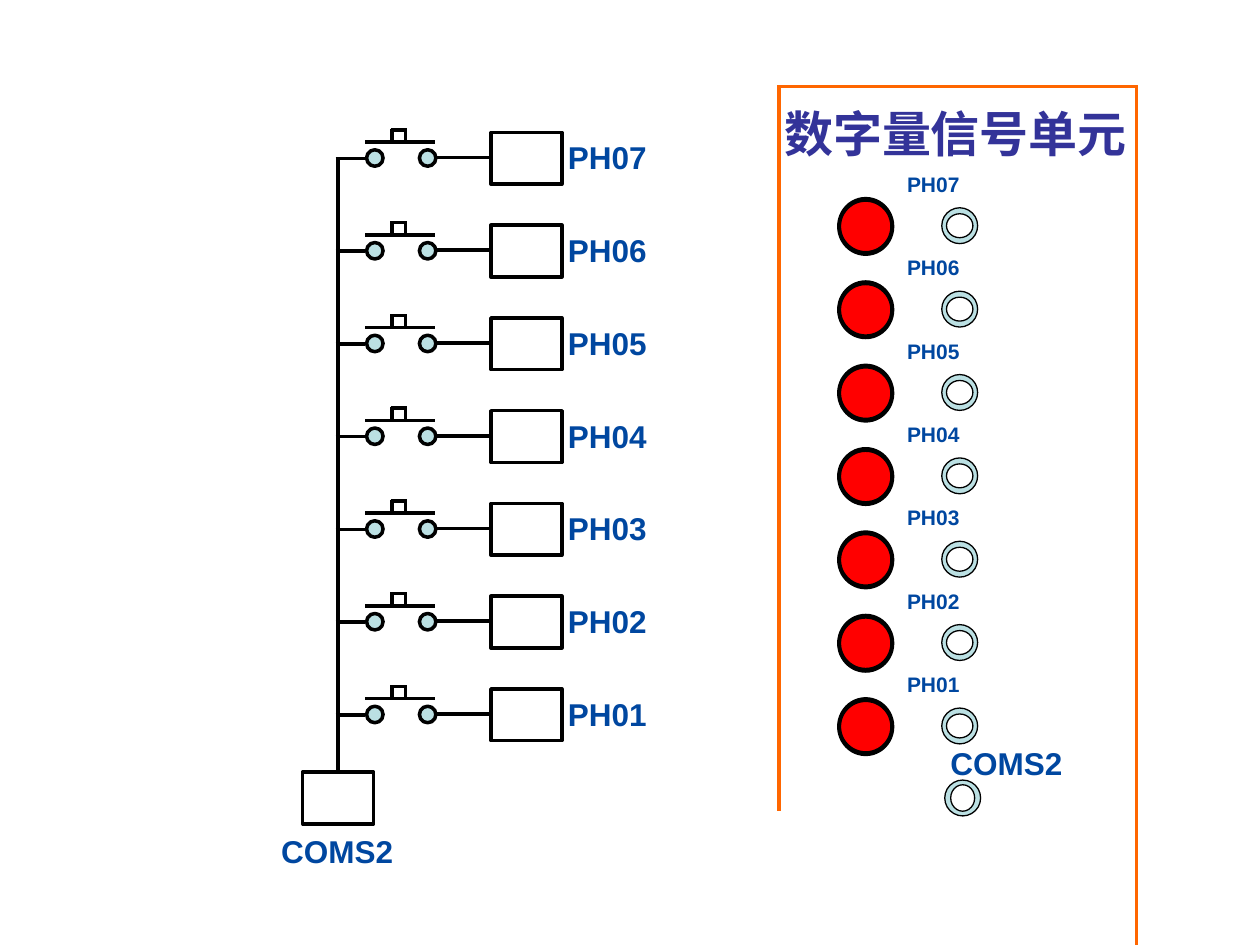
from dataclasses import dataclass

from pptx import Presentation
from pptx.dml.color import RGBColor
from pptx.enum import shapes, text
from pptx.oxml.ns import qn
from pptx.util import Pt

TITLE = "数字量信号单元"
CHANNELS = ["PH07", "PH06", "PH05", "PH04", "PH03", "PH02", "PH01"]
COMMON = "COMS2"


@dataclass(frozen=True)
class Theme:
    ink: str = "000000"
    terminal: str = "BBE0E3"
    hole: str = "FFFFFF"
    lamp: str = "FF0000"
    label: str = "0047A0"
    frame: str = "FF6600"
    title: str = "333399"
    font: str = "Arial"
    title_size: float = 28
    label_size: float = 18
    small_size: float = 12
    wire: float = 2
    hairline: float = 0.75


THEME = Theme()

# Wiring diagram on the left: y values are relative to the contact centre line
WIRING_TOP, WIRING_PITCH = 90.5, 53
BUS_X = 193.2
CONTACT_XS = (214.2, 244.4)
CONTACT_SIZE = 9.4
SWITCH_WIRES = [
    (191.8, 0, 208.8, 0),        # bus to contact
    (208.8, -9.3, 248.4, -9.3),  # bridge
    (224.1, -17, 224.1, -9.3),   # button, left side
    (223.2, -16.2, 232.6, -16.2),  # button, top
    (231.8, -17, 231.8, -9.3),   # button, right side
    (249.8, -0.5, 279.4, -0.5),  # contact to module
]
MODULE_SIZE = (40.5, 29.6)

# Front panel on the right
PANEL_TOP, PANEL_PITCH = 129.4, 47.64
LAMP_X, SOCKET_X = 494.7, 548.4
FRAME_LINES = [
    (444.2, 49.5, 650.2, 49.5),
    (445.2, 48.8, 445.2, 463.7),
    (649.4, 48.8, 649.4, 540),
]


def color(value):
    return RGBColor.from_string(value)


def add_outline(page, kind, center, size, fill, width):
    """Add a preset shape around its centre; a fill of None leaves it open."""
    (x, y), (w, h) = center, size
    shape = page.shapes.add_shape(kind, Pt(x - w / 2), Pt(y - h / 2), Pt(w), Pt(h))
    shape.shadow.inherit = False
    if fill:
        shape.fill.solid()
        shape.fill.fore_color.rgb = color(fill)
    else:
        shape.fill.background()
    shape.line.color.rgb = color(THEME.ink)
    shape.line.width = Pt(width)


def add_ellipse(page, center, size, fill, width=THEME.hairline):
    add_outline(page, shapes.MSO_SHAPE.OVAL, center, size, fill, width)


def add_module(page, center):
    add_outline(page, shapes.MSO_SHAPE.RECTANGLE, center, MODULE_SIZE, None, THEME.wire)


def add_wire(page, x1, y1, x2, y2, ink=THEME.ink):
    wire = page.shapes.add_connector(
        shapes.MSO_CONNECTOR.STRAIGHT, Pt(x1), Pt(y1), Pt(x2), Pt(y2))
    wire.line.color.rgb = color(ink)
    wire.line.width = Pt(THEME.wire)
    properties = wire._element.spPr
    properties.append(properties.makeelement(qn("a:effectLst"), {}))


def write(box, words, size, ink):
    frame = box.text_frame
    frame.vertical_anchor = text.MSO_ANCHOR.TOP
    paragraph = frame.paragraphs[0]
    paragraph.text = words
    paragraph.alignment = text.PP_ALIGN.LEFT
    font = paragraph.font
    font.name, font.size, font.bold = THEME.font, Pt(size), True
    font.color.rgb = color(ink)


def add_label(page, words, left, top, width, size=THEME.label_size):
    box = page.shapes.add_textbox(Pt(left), Pt(top), Pt(width), Pt(size * 1.2 + 7.2))
    box.text_frame.word_wrap = False
    box.text_frame.auto_size = text.MSO_AUTO_SIZE.SHAPE_TO_FIT_TEXT
    write(box, words, size, THEME.label)


def add_socket(page, center, hole_size):
    add_ellipse(page, center, (20.5, 20.5), THEME.terminal)
    add_ellipse(page, center, hole_size, THEME.hole)


def add_panel(page):
    for row, name in enumerate(CHANNELS):
        y = PANEL_TOP + row * PANEL_PITCH
        add_ellipse(page, (LAMP_X, y), (32, 33), THEME.ink)
        add_ellipse(page, (LAMP_X, y), (28.8, 28.8), THEME.lamp)
        add_socket(page, (SOCKET_X, y - 0.4), (15.1, 13.7))
        add_label(page, name, 511.2, y - 35, 46, THEME.small_size)
    add_socket(page, (550.1, 456), (13.7, 15.1))
    add_label(page, COMMON, 536, 421.6, 79.5)
    for line in FRAME_LINES:
        add_wire(page, *line, ink=THEME.frame)


def add_wiring(page):
    for row, name in enumerate(CHANNELS):
        y = WIRING_TOP + row * WIRING_PITCH
        for x1, y1, x2, y2 in SWITCH_WIRES:
            add_wire(page, x1, y + y1, x2, y + y2)
        for x in CONTACT_XS:
            add_ellipse(page, (x, y - 0.2), (CONTACT_SIZE, CONTACT_SIZE),
                        THEME.terminal, THEME.wire)
        add_module(page, (300.8, y))
        add_label(page, name, 317.5, y - 15, 61)
    add_wire(page, BUS_X, WIRING_TOP, BUS_X, 442)
    add_module(page, (BUS_X, 456))
    add_label(page, COMMON, 153.6, 471.8, 79.5)


def add_title(page):
    title = page.shapes.title
    title.left, title.top, title.width, title.height = Pt(440.9), Pt(55.4), Pt(220.3), Pt(41)
    title.text_frame.word_wrap = True
    title.text_frame.auto_size = text.MSO_AUTO_SIZE.NONE
    write(title, TITLE, THEME.title_size, THEME.title)


def main():
    deck = Presentation()
    deck.slide_width, deck.slide_height = Pt(720), Pt(540)
    page = deck.slides.add_slide(deck.slide_layouts[5])
    add_panel(page)
    add_wiring(page)
    add_title(page)
    deck.save("out.pptx")


if __name__ == "__main__":
    main()
